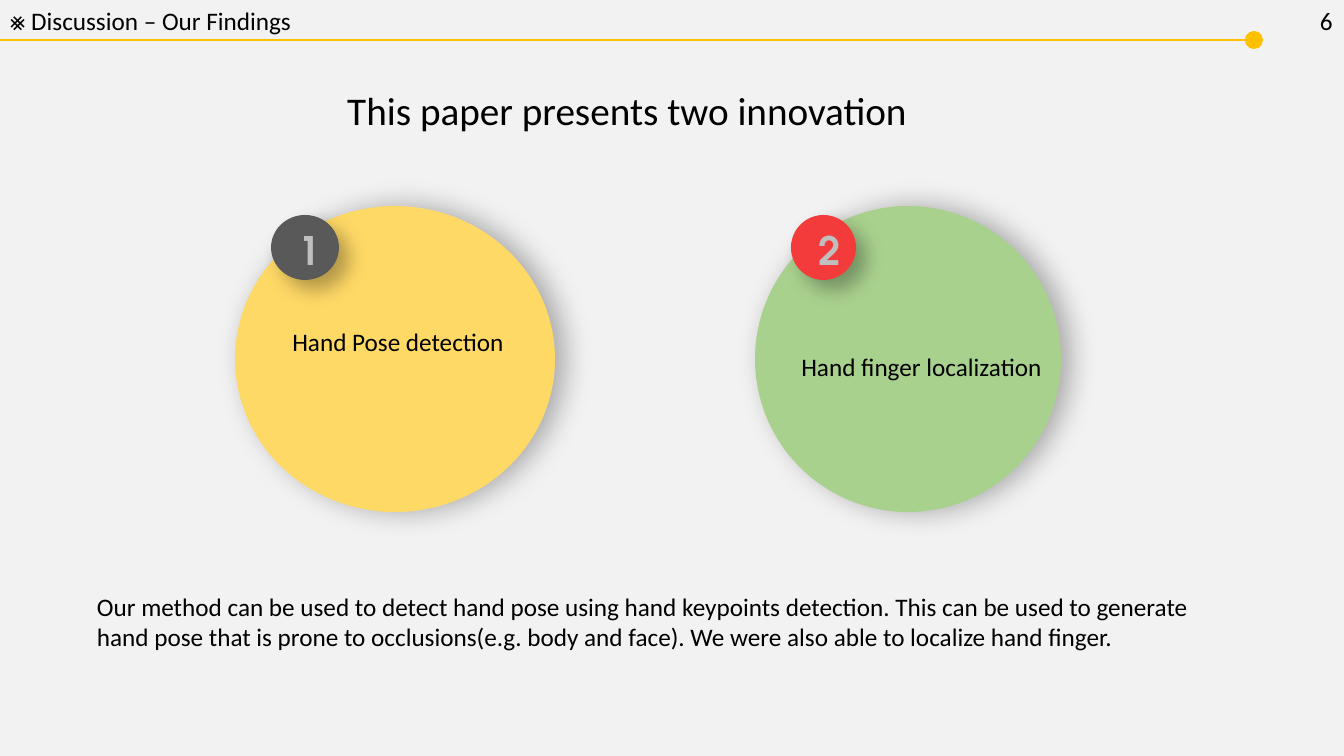
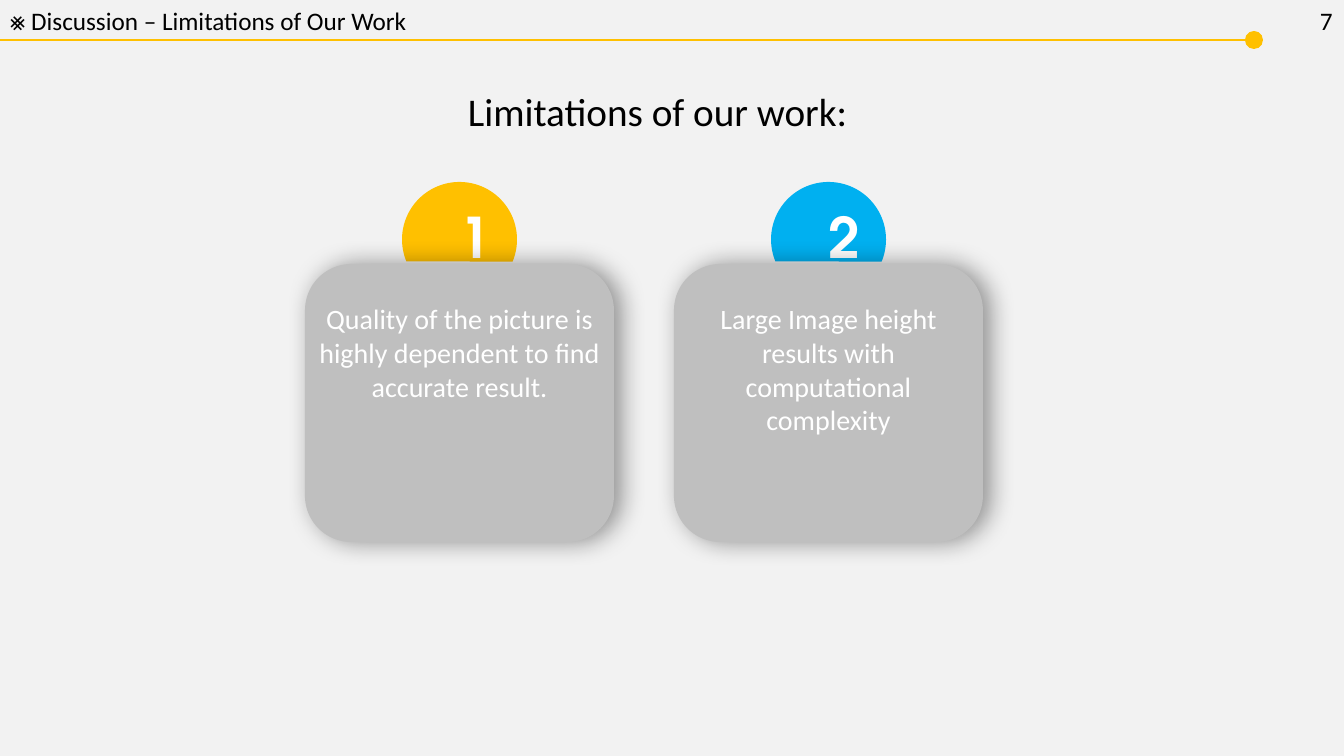
from dataclasses import dataclass

from lxml import etree
from pptx import Presentation
from pptx.dml.color import RGBColor
from pptx.enum.shapes import MSO_CONNECTOR, MSO_SHAPE
from pptx.enum.text import MSO_AUTO_SIZE, PP_ALIGN
from pptx.oxml.ns import qn
from pptx.util import Emu, Pt

CENTER, LEFT = PP_ALIGN.CENTER, PP_ALIGN.LEFT
FIT = MSO_AUTO_SIZE.SHAPE_TO_FIT_TEXT
STRAIGHT = MSO_CONNECTOR.STRAIGHT
OVAL, CHORD, ROUNDED = MSO_SHAPE.OVAL, MSO_SHAPE.CHORD, MSO_SHAPE.ROUNDED_RECTANGLE

PX_PER_INCH = 100.8
SLIDE_W, SLIDE_H = 1344, 756


@dataclass(frozen=True)
class Theme:
    background: str = "F2F2F2"
    ink: str = "000000"
    white: str = "FFFFFF"
    accent: str = "FFC000"
    blue: str = "00B0F0"
    yellow: str = "FFD966"
    green: str = "A9D18E"
    dark: str = "595959"
    red: str = "F33B3B"
    silver: str = "BFBFBF"
    text_font: str = "Calibri"
    number_font: str = "TeX Gyre Adventor"
    body: int = 18
    card: int = 20
    heading: int = 28
    badge: int = 28
    tab: int = 40


@dataclass(frozen=True)
class Shadow:
    """Opacity in percent, blur and distance in points, direction in degrees."""
    opacity: int
    blur: int
    distance: int
    direction: int = 0


THEME = Theme()
CIRCLE_SHADOW = Shadow(30, 20, 7)
BADGE_SHADOW = Shadow(30, 14, 10, 45)
CARD_SHADOW = Shadow(40, 18, 5)


def px(length):
    return Emu(round(length * 914400 / PX_PER_INCH))


def rgb(colour):
    return RGBColor.from_string(colour)


def cast_shadow(shape, shadow):
    effects = shape._element.spPr.find(qn("a:effectLst"))
    outer = etree.SubElement(effects, qn("a:outerShdw"), {
        "blurRad": str(Pt(shadow.blur)),
        "dist": str(Pt(shadow.distance)),
        "dir": str(shadow.direction * 60000),
        "algn": "l",
        "rotWithShape": "0",
    })
    colour = etree.SubElement(outer, qn("a:srgbClr"), val=THEME.ink)
    etree.SubElement(colour, qn("a:alpha"), val=str(shadow.opacity * 1000))


def add_figure(slide, kind, box, fill, shadow=None, rotation=0):
    figure = slide.shapes.add_shape(kind, *map(px, box))
    figure.shadow.inherit = False
    figure.fill.solid()
    figure.fill.fore_color.rgb = rgb(fill)
    figure.line.fill.background()
    figure.rotation = rotation
    if shadow:
        cast_shadow(figure, shadow)


def add_text(slide, text, box, size=THEME.body, colour=THEME.ink, align=CENTER,
             font=THEME.text_font, bold=False, wrap=True):
    frame = slide.shapes.add_textbox(*map(px, box)).text_frame
    frame.word_wrap = wrap
    frame.auto_size = FIT
    paragraph = frame.paragraphs[0]
    paragraph.alignment = align
    run = paragraph.add_run()
    run.text = text
    for name, value in {"name": font, "size": Pt(size), "bold": bold}.items():
        setattr(run.font, name, value)
    run.font.color.rgb = rgb(colour)


def add_number(slide, number, box, size, colour):
    add_text(slide, str(number), box, size, colour, font=THEME.number_font, bold=True)


def add_page(prs, topic, page_number):
    """Add a blank slide with the header rule, topic and page number."""
    slide = prs.slides.add_slide(prs.slide_layouts[6])
    add_text(slide, f"⨳ Discussion – {topic}", (0, 0, 1262, 40), align=LEFT)
    rule = slide.shapes.add_connector(STRAIGHT, *map(px, (0, 40, 1254, 40)))
    rule.line.color.rgb = rgb(THEME.accent)
    rule.line.width = Pt(1.5)
    etree.SubElement(rule._element.spPr, qn("a:effectLst"))
    add_figure(slide, OVAL, (1245, 31, 18, 18), THEME.accent)
    add_text(slide, str(page_number), (1310, 0, 33, 40), align=LEFT, wrap=False)
    return slide


def add_finding(slide, number, left, width, fill, badge_width, badge_fill):
    """Add a large circle with a numbered badge at its upper left."""
    top = 206
    add_figure(slide, OVAL, (left, top, width, 306), fill, CIRCLE_SHADOW)
    add_figure(slide, OVAL, (left + 36, top + 9, badge_width, 65), badge_fill, BADGE_SHADOW)
    add_number(slide, number, (left + 54, top + 15, 33, 57), THEME.badge, THEME.silver)


def add_limitation(slide, number, left, fill, text):
    """Add a card with a numbered tab rising behind its top edge."""
    width, tab = 309, 115
    add_figure(slide, CHORD, (left + (width - tab) // 2, 182, tab, tab), fill, rotation=112.7)
    add_number(slide, number, (left + 145, 198, 21, 77), THEME.tab, THEME.white)
    add_figure(slide, ROUNDED, (left, 264, width, 278), THEME.silver, CARD_SHADOW)
    add_text(slide, text, (left, 297, width, 146), THEME.card, THEME.white)


def build_findings(prs):
    slide = add_page(prs, "Our Findings", 6)
    add_finding(slide, 1, 235, 320, THEME.yellow, 68, THEME.dark)
    add_text(slide, "Hand Pose detection", (262, 321, 272, 40))
    add_finding(slide, 2, 755, 306, THEME.green, 65, THEME.red)
    add_text(slide, "Hand finger localization", (782, 346, 279, 40))
    add_text(slide, "Our method can be used to detect hand pose using hand keypoints detection. "
             "This can be used to generate hand pose that is prone to occlusions(e.g. body and "
             "face). We were also able to localize hand finger.",
             (87, 586, 1157, 72), align=LEFT)
    add_text(slide, "This paper presents two innovation", (193, 81, 868, 57), THEME.heading)


def build_limitations(prs):
    slide = add_page(prs, "Limitations of Our Work", 7)
    add_text(slide, "Limitations of our work:", (53, 82, 1209, 57), THEME.heading)
    limitations = (
        (THEME.accent, "Quality of the picture is highly dependent to find accurate result."),
        (THEME.blue, "Large Image height results with computational complexity"),
    )
    for index, (fill, text) in enumerate(limitations):
        add_limitation(slide, index + 1, 305 + index * 369, fill, text)


def main():
    prs = Presentation()
    prs.slide_width, prs.slide_height = px(SLIDE_W), px(SLIDE_H)
    backdrop = prs.slide_master.background.fill
    backdrop.solid()
    backdrop.fore_color.rgb = rgb(THEME.background)
    build_findings(prs)
    build_limitations(prs)
    prs.save("out.pptx")


if __name__ == "__main__":
    main()
